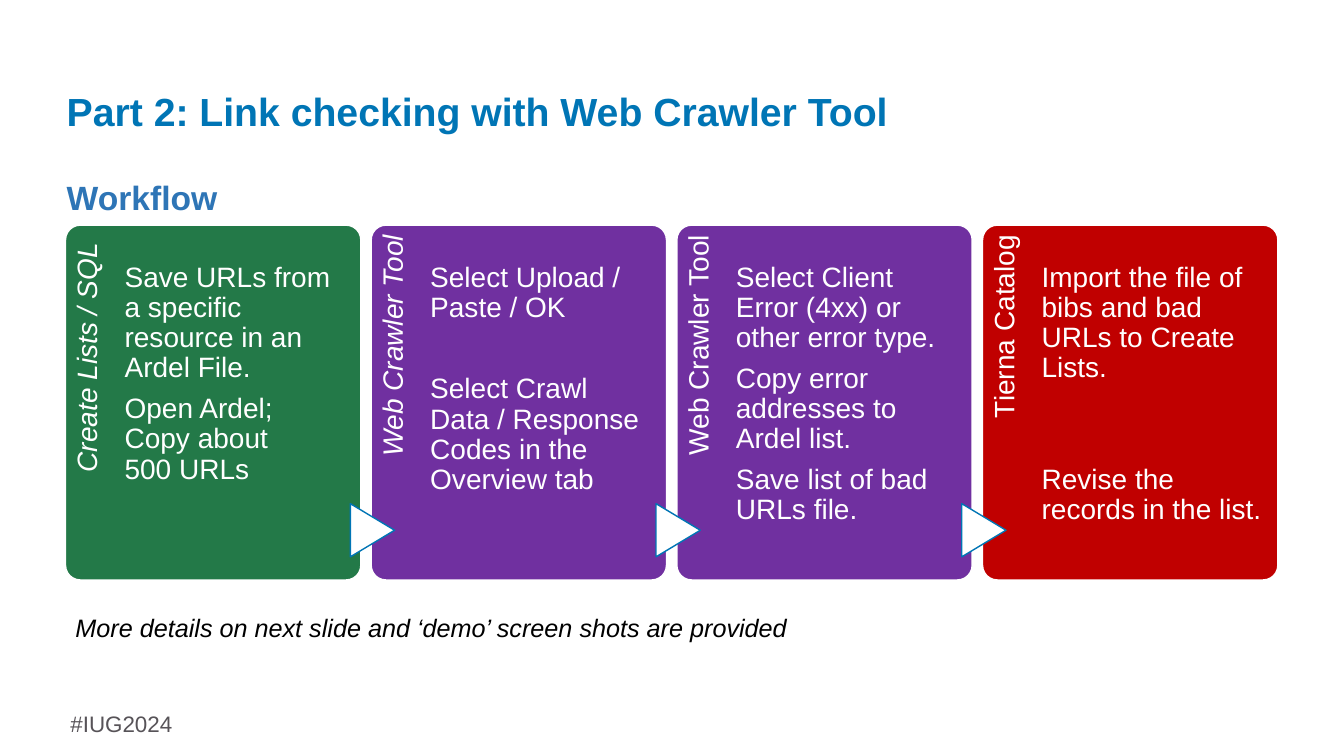
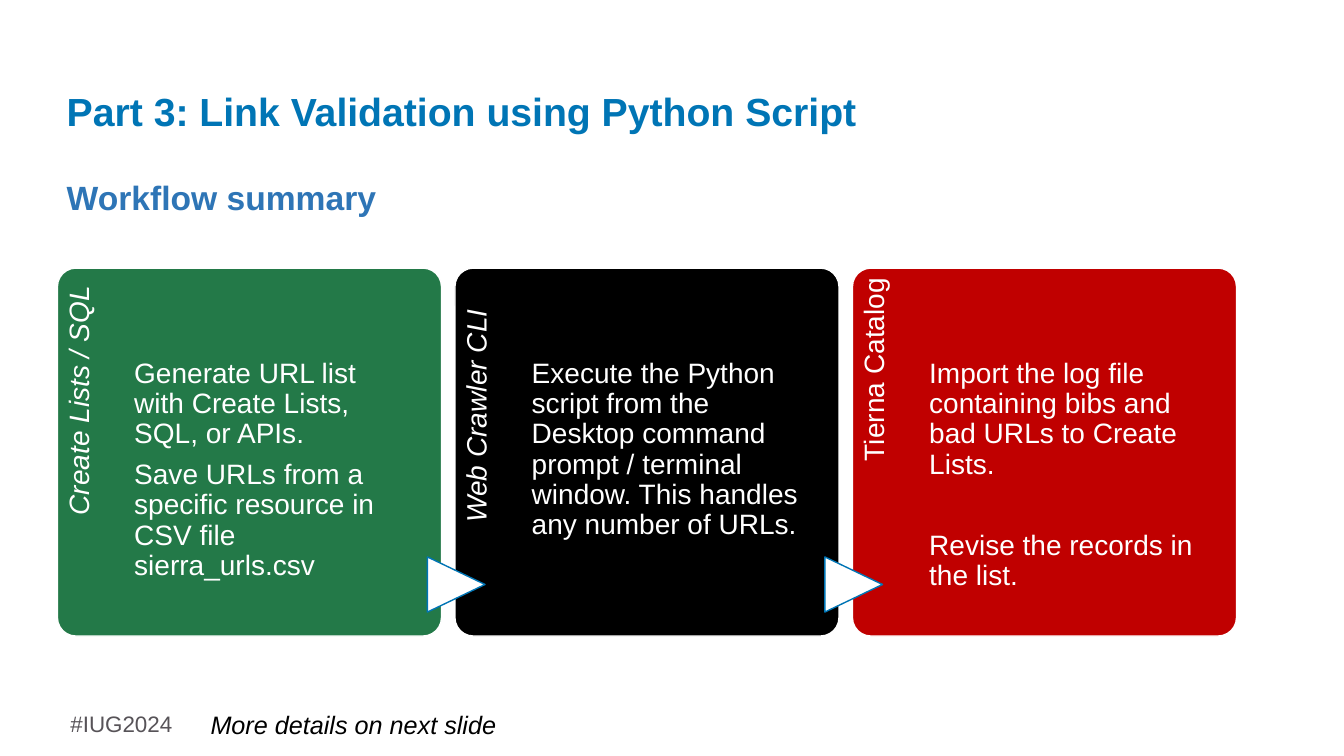
from pptx import Presentation
from pptx import util as u
from pptx.dml.color import RGBColor
from pptx.enum import shapes, text

# Shared style
FONT = "Arial"
WHITE = RGBColor(0xFF, 0xFF, 0xFF)
BLACK = RGBColor(0x00, 0x00, 0x00)
TITLE_BLUE = RGBColor(0x00, 0x75, 0xB5)
HEADING_BLUE = RGBColor(0x2E, 0x75, 0xB6)
FOOTER_GREY = RGBColor(0x57, 0x53, 0x58)
GREEN = RGBColor(0x23, 0x79, 0x48)
PURPLE = RGBColor(0x70, 0x30, 0xA0)
RED = RGBColor(0xC0, 0x00, 0x00)

# Grid, and text rhythm in points
COLUMNS, ROWS = 160, 90
CARD_SIZE = 20
CARD_LINE = u.Pt(21.6)
GAP = 7.5
WIDE_GAP = 36.6
WIDEST_GAP = 58.2


class Deck:
    """Holds the style and the current slide; lengths are grid columns and rows."""

    def __init__(self):
        self.prs = Presentation()
        self.prs.slide_width = u.Inches(13.33)
        self.prs.slide_height = u.Inches(7.5)
        self.slide = None

    def box(self, x, y, w, h):
        column = self.prs.slide_width / COLUMNS
        row = self.prs.slide_height / ROWS
        return [u.Emu(round(n)) for n in (x * column, y * row, w * column, h * row)]

    def new_slide(self, title, heading):
        self.slide = self.prs.slides.add_slide(self.prs.slide_layouts[6])
        self.text("#IUG2024", 7.2, 84, 18, 4.4, 16, FOOTER_GREY)
        self.text(title, 6.76, 8.76, 145.4, 9.6, 28, TITLE_BLUE, bold=True,
                  anchor=text.MSO_ANCHOR.MIDDLE, line=0.9)
        self.text(heading, 6.76, 20.52, 74.5, 6, 24, HEADING_BLUE, bold=True)

    def text(self, content, x, y, w, h, size, color, bold=False, italic=False,
             anchor=text.MSO_ANCHOR.TOP, align=text.PP_ALIGN.LEFT, line=None,
             insets=(0.1, 0.05, 0.1, 0.05)):
        """Content is a string, or a list of (space before, string)."""
        holder = self.slide.shapes.add_textbox(*self.box(x, y, w, h))
        frame = holder.text_frame
        frame.word_wrap = True
        frame.vertical_anchor = anchor
        (frame.margin_left, frame.margin_top,
         frame.margin_right, frame.margin_bottom) = map(u.Inches, insets)
        paragraphs = [(0, content)] if isinstance(content, str) else content
        for number, (space, words) in enumerate(paragraphs):
            para = frame.add_paragraph() if number else frame.paragraphs[0]
            para.alignment = align
            para.space_before = u.Pt(space)
            if line:
                para.line_spacing = line
            for row, part in enumerate(words.split("\n")):
                if row:
                    para.add_line_break()
                run = para.add_run()
                run.text = part
                font = run.font
                font.name, font.size = FONT, u.Pt(size)
                font.bold, font.italic = bold, italic
                font.color.rgb = color
        return holder

    def note(self, words, x, y, w):
        self.text(words, x, y, w, 4.8, 18, BLACK, italic=True)

    def shape(self, kind, x, y, w, h, fill, line):
        item = self.slide.shapes.add_shape(kind, *self.box(x, y, w, h))
        item.shadow.inherit = False
        item.fill.solid()
        item.fill.fore_color.rgb = fill
        item.line.color.rgb = line
        item.line.width = u.Pt(1)
        return item

    def card(self, x, y, w, h, color, label, italic, label_inset, body, body_inset):
        panel = self.shape(shapes.MSO_SHAPE.ROUNDED_RECTANGLE, x, y, w, h, color, WHITE)
        panel.adjustments[0] = 0.05
        # Side label: turned about the centre of the strip it fills
        strip, length = 0.2 * w, 0.82 * h
        side = self.text(label, x + (strip - length) / 2, y + (length - strip) / 2,
                         length, strip, CARD_SIZE, WHITE, italic=italic,
                         align=text.PP_ALIGN.RIGHT, line=CARD_LINE,
                         insets=(0, 0.07, label_inset, 0))
        side.rotation = 270
        self.text(body, x + strip, y, 0.75 * w, h, CARD_SIZE, WHITE,
                  line=CARD_LINE, insets=(0, body_inset, 0, 0))

    def arrow(self, x, y, w, h):
        """Triangle w by h centred on x, y, turned to point right."""
        mark = self.shape(shapes.MSO_SHAPE.FLOWCHART_EXTRACT,
                          x - h / 2, y - w / 2, h, w, WHITE, TITLE_BLUE)
        mark.rotation = 90

    def workflow(self, x, y, w, h, body_inset, steps):
        pitch = w * 103.5 / 100
        for number, (color, label, italic, label_inset, body) in enumerate(steps):
            left = x + number * pitch
            self.card(left, y, w, h, color, label, italic, label_inset, body, body_inset)
            if number:
                self.arrow(left + 0.15, y + 0.86 * h, 0.15 * w, 0.15 * h)


# Steps: colour, label, italic label, label inset, body paragraphs
CRAWLER_STEPS = [
    (GREEN, "Create Lists / SQL", True, 0.18, [
        (0, "Save URLs from a specific resource in an Ardel File."),
        (GAP, "Open Ardel;\nCopy about\n500 URLs")]),
    (PURPLE, "Web Crawler Tool", True, 0.1, [
        (0, "Select Upload / Paste / OK"),
        (WIDE_GAP, "Select Crawl Data / Response Codes in the Overview tab")]),
    (PURPLE, "Web Crawler Tool", False, 0.1, [
        (0, "Select Client Error (4xx) or other error type."),
        (GAP, "Copy error addresses to Ardel list."),
        (GAP, "Save list of bad URLs file.")]),
    (RED, "Tierna Catalog", False, 0.1, [
        (0, "Import the file of bibs and bad URLs to Create Lists."),
        (WIDEST_GAP, "Revise the records in the list.")]),
]
SCRIPT_STEPS = [
    (GREEN, "Create Lists / SQL", True, 0.18, [
        (0, "Generate URL list\nwith Create Lists,\nSQL, or APIs."),
        (GAP, "Save URLs from a specific resource in CSV file sierra_urls.csv")]),
    (BLACK, "Web Crawler CLI", True, 0.41, [
        (0, "Execute the Python script from the Desktop command prompt / terminal "
            "window. This handles\nany number of URLs.")]),
    (RED, "Tierna Catalog", False, 0.1, [
        (0, "Import the log file containing bibs and bad URLs to Create Lists."),
        (WIDE_GAP, "Revise the records in the list.")]),
]


def main():
    deck = Deck()

    # Link checking
    deck.new_slide("Part 2: Link checking with Web Crawler Tool", "Workflow")
    deck.workflow(7.8, 26.8, 35.16, 42.24, 0.37, CRAWLER_STEPS)
    deck.note("More details on next slide and ‘demo’ screen shots are provided",
              7.8, 72.36, 96)

    # Link validation
    deck.new_slide("Part 3: Link Validation using Python Script", "Workflow summary")
    deck.workflow(6.84, 31.92, 45.72, 43.8, 0.9, SCRIPT_STEPS)
    deck.note("More details on next slide", 23.88, 83.88, 40)

    deck.prs.save("out.pptx")


if __name__ == "__main__":
    main()
